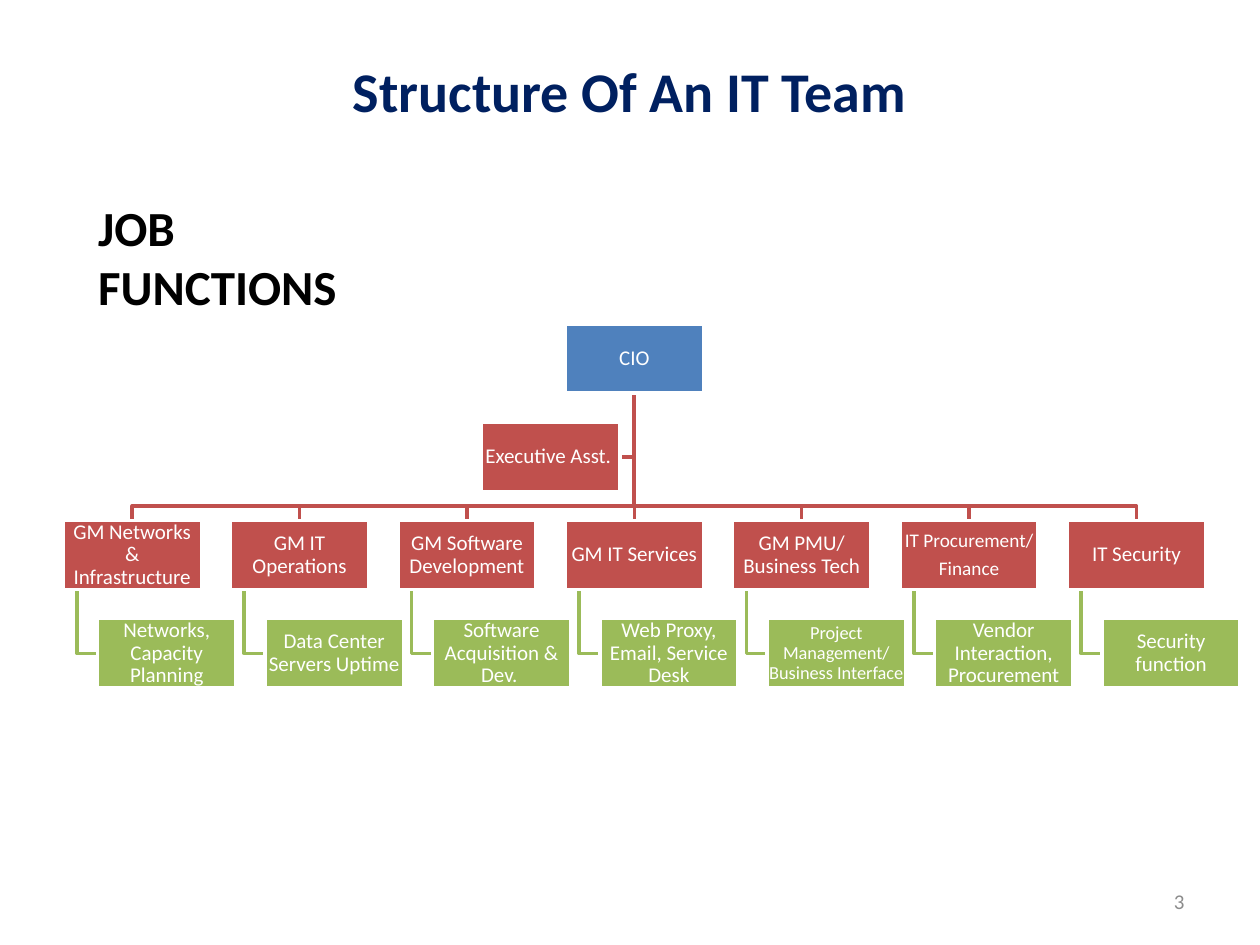
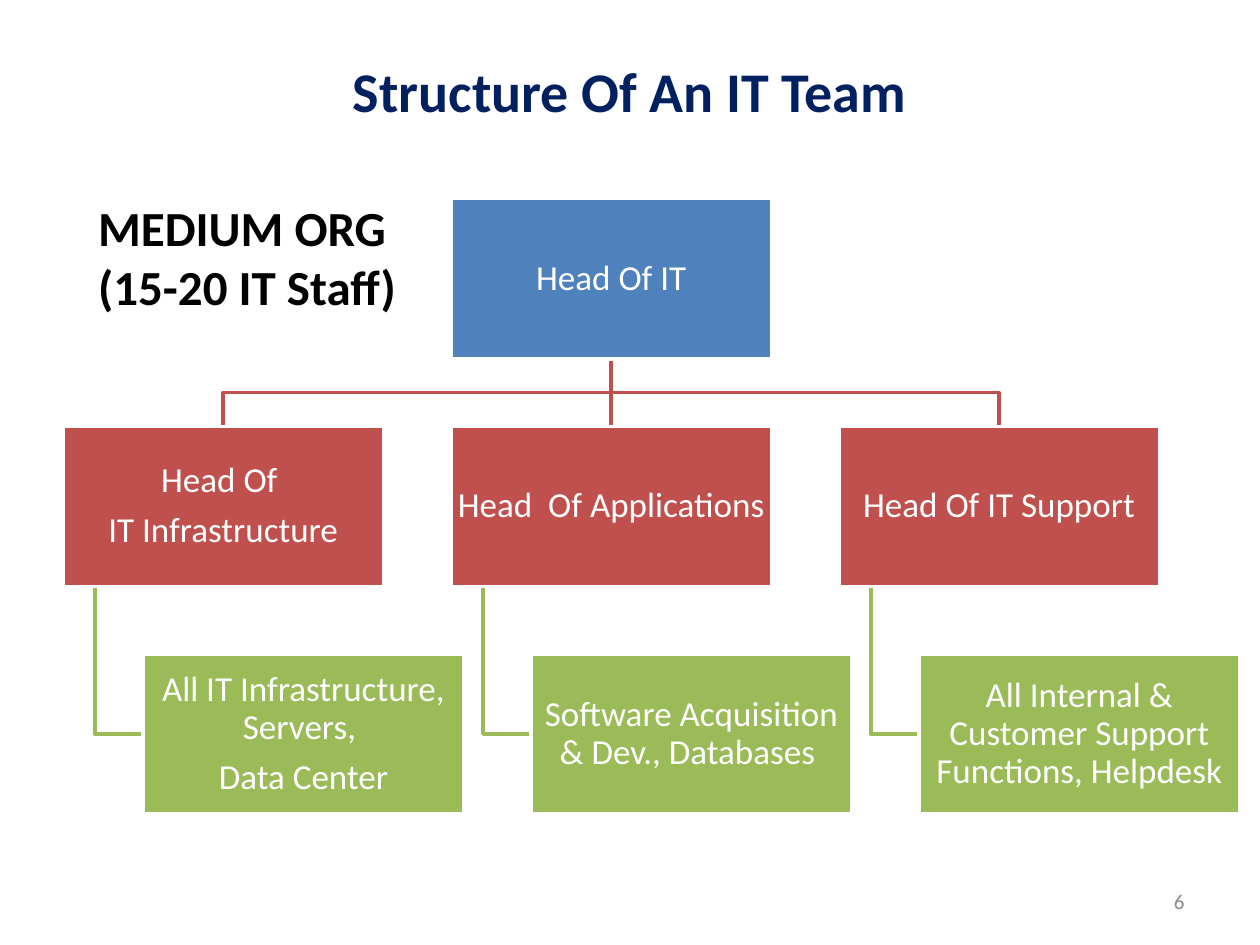
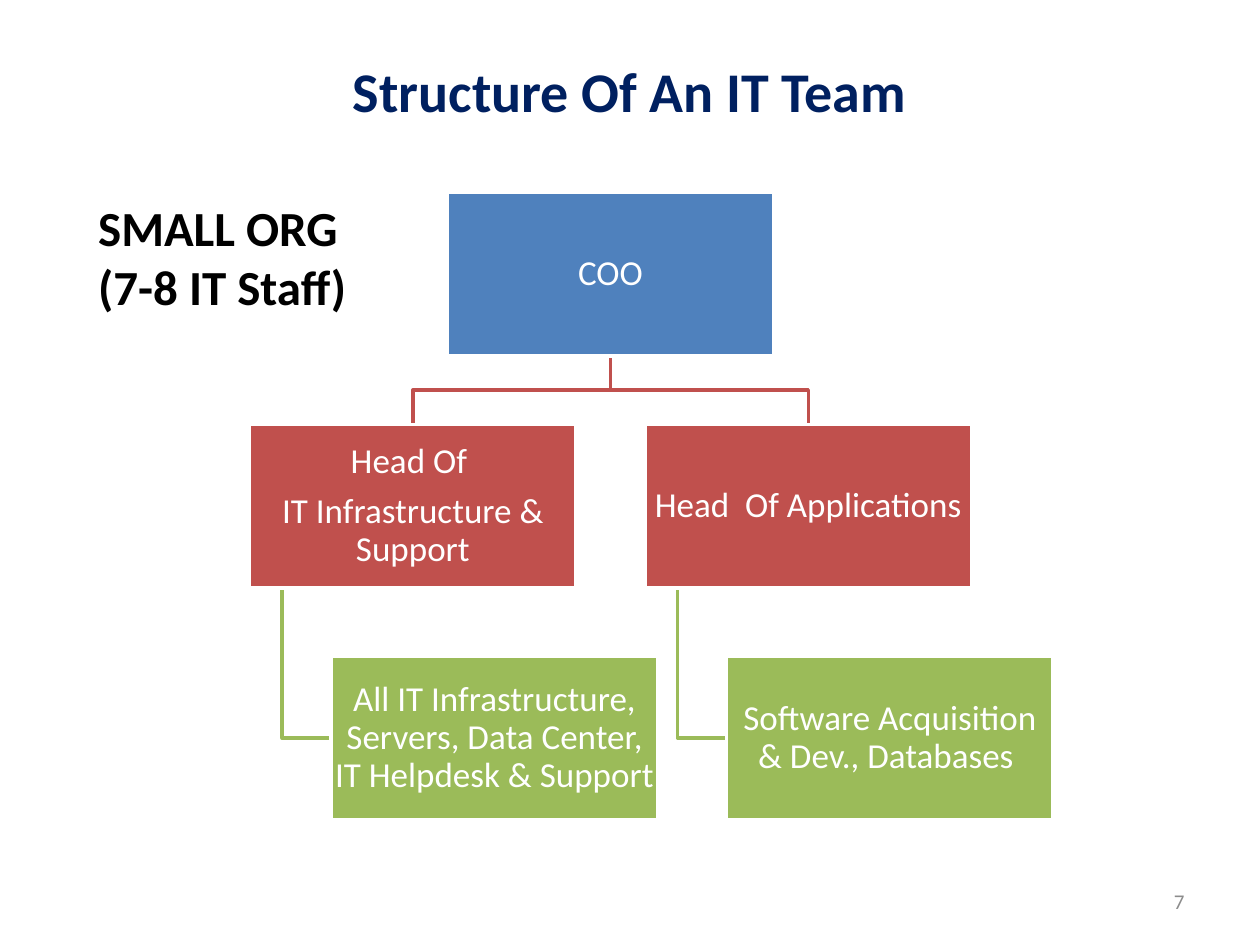
from pptx import Presentation
from pptx.dml.color import RGBColor
from pptx.enum.shapes import MSO_CONNECTOR, MSO_SHAPE
from pptx.enum.text import MSO_ANCHOR, PP_ALIGN
from pptx.oxml.ns import qn
from pptx.util import Pt
from lxml import etree

STRAIGHT = MSO_CONNECTOR.STRAIGHT
RECTANGLE = MSO_SHAPE.RECTANGLE
TOP, MIDDLE = MSO_ANCHOR.TOP, MSO_ANCHOR.MIDDLE
LEFT, CENTER, RIGHT = PP_ALIGN.LEFT, PP_ALIGN.CENTER, PP_ALIGN.RIGHT
BOTTOM_SITE, TOP_SITE = 2, 0

COLORS = {
    "title": "002060",
    "heading": "000000",
    "number": "8C8C8C",
    "root": "4F81BD",
    "head": "C0504D",
    "team": "9BBB59",
    "white": "FFFFFF",
}
FONT = "Calibri"
LINE_WIDTH = 2
GAP = 0.21
TEAM_INDENT = 0.25
STEM_INDENT = 0.1


def color(name):
    return RGBColor.from_string(COLORS[name])


def write_text(box, text, size, ink, bold=False, align=LEFT, anchor=TOP,
               wrap=True, inset=None, line_spacing=None, space_after=None):
    frame = box.text_frame
    frame.word_wrap = wrap
    frame.vertical_anchor = anchor
    if inset is not None:
        frame.margin_left = frame.margin_right = Pt(inset)
        frame.margin_top = frame.margin_bottom = Pt(inset)
    for index, line in enumerate(text.split("\n")):
        para = frame.add_paragraph() if index else frame.paragraphs[0]
        para.alignment = align
        if line_spacing:
            para.line_spacing = line_spacing
        if space_after:
            para.space_after = Pt(space_after)
        span = para.add_run()
        span.text = line
        span.font.name = FONT
        span.font.size = Pt(size)
        span.font.bold = bold
        span.font.color.rgb = color(ink)


class Deck:
    def __init__(self):
        self.presentation = Presentation()
        self.presentation.slide_width = Pt(720)
        self.presentation.slide_height = Pt(540)
        self.page = None

    def add_page(self, number, heading):
        layout = self.presentation.slide_layouts[6]
        self.page = self.presentation.slides.add_slide(layout)
        self.text(516, 500.5, 168, 28.8, str(number), size=12, ink="number",
                  align=RIGHT, anchor=MIDDLE)
        self.text(36, 16.5, 648, 70.5, "Structure Of An IT Team", size=32,
                  ink="title", bold=True, align=CENTER, anchor=MIDDLE)
        self.text(49, 109.5, 200, 41, heading, size=28, ink="heading",
                  bold=True, wrap=False)

    def text(self, left, top, width, height, text, **style):
        box = self.page.shapes.add_textbox(
            Pt(left), Pt(top), Pt(width), Pt(height))
        write_text(box, text, **style)

    def box(self, left, top, width, text, fill, size):
        box = self.page.shapes.add_shape(
            RECTANGLE, Pt(left), Pt(top), Pt(width), Pt(width / 2))
        box.shadow.inherit = False
        box.fill.solid()
        box.fill.fore_color.rgb = color(fill)
        self.outline(box, "white")
        write_text(box, text, size=size, ink="white", align=CENTER,
                   anchor=MIDDLE, inset=0.6, line_spacing=0.9,
                   space_after=0.35 * size)
        return box

    def outline(self, shape, ink):
        shape.line.color.rgb = color(ink)
        shape.line.width = Pt(LINE_WIDTH)

    def bent_line(self, points, ink):
        start, *rest = [(Pt(x), Pt(y)) for x, y in points]
        builder = self.page.shapes.build_freeform(*start)
        builder.add_line_segments(rest, close=False)
        line = builder.convert_to_shape()
        line.shadow.inherit = False
        line.fill.background()
        self.outline(line, ink)

    def straight_line(self, x, top, bottom, ink):
        line = self.page.shapes.add_connector(
            STRAIGHT, Pt(x), Pt(top), Pt(x), Pt(bottom))
        etree.SubElement(line._element.spPr, qn("a:effectLst"))
        self.outline(line, ink)
        return line

    def org_chart(self, left, top, width, size, root, branches, assistant=None):
        height, gap = width / 2, GAP * width
        step = height + gap
        head_top = top + step * (2 if assistant else 1)
        team_top = head_top + step
        lefts = [left + index * (width + gap) for index in range(len(branches))]
        root_left = (lefts[0] + lefts[-1]) / 2
        center, root_bottom = root_left + width / 2, top + height
        bus = head_top - gap / 2
        middle = len(branches) // 2 if len(branches) % 2 else None
        trunk = None

        for index, head_left in enumerate(lefts):
            stem, team_middle = head_left + STEM_INDENT * width, team_top + height / 2
            self.bent_line([(stem, head_top + height), (stem, team_middle),
                            (head_left + TEAM_INDENT * width, team_middle)], "team")
            if index == middle:
                trunk = self.straight_line(center, root_bottom, head_top, "head")
            else:
                head_center = head_left + width / 2
                self.bent_line([(center, root_bottom), (center, bus),
                                (head_center, bus), (head_center, head_top)], "head")
        if assistant:
            assistant_right = center - gap / 2
            assistant_middle = top + step + height / 2
            self.bent_line([(center, root_bottom), (center, assistant_middle),
                            (assistant_right, assistant_middle)], "head")
            self.box(assistant_right - width, top + step, width, assistant,
                     "head", size)

        root_box = self.box(root_left, top, width, root, "root", size)
        for index, (head_left, branch) in enumerate(zip(lefts, branches)):
            head, team, *sizes = branch
            head_size, team_size = sizes or (size, size)
            head_box = self.box(head_left, head_top, width, head, "head", head_size)
            self.box(head_left + TEAM_INDENT * width, team_top, width, team,
                     "team", team_size)
            if index == middle:
                trunk.begin_connect(root_box, BOTTOM_SITE)
                trunk.end_connect(head_box, TOP_SITE)


def main():
    deck = Deck()

    deck.add_page(3, "JOB FUNCTIONS")
    deck.org_chart(36, 185.2, 79.05, 12, "CIO", [
        ("GM Networks & Infrastructure", "Networks, Capacity Planning"),
        ("GM IT Operations", "Data Center Servers Uptime"),
        ("GM Software Development", "Software Acquisition & Dev. "),
        ("GM IT Services", "Web Proxy, Email, Service Desk"),
        ("GM PMU/ Business Tech", "Project Management/ Business Interface", 12, 10.5),
        ("IT Procurement/\nFinance", "Vendor Interaction, Procurement", 11, 12),
        ("IT Security", "Security function"),
    ], assistant="Executive Asst. ")

    deck.add_page(6, "MEDIUM ORG\n(15-20 IT Staff)")
    deck.org_chart(36, 113.5, 183.2, 20, "Head Of IT", [
        ("Head Of \nIT Infrastructure",
         "All IT Infrastructure, Servers, \nData Center"),
        ("Head  Of Applications", "Software Acquisition & Dev., Databases "),
        ("Head Of IT Support",
         "All Internal & Customer Support Functions, Helpdesk"),
    ])

    deck.add_page(7, "SMALL ORG\n(7-8 IT Staff)")
    deck.org_chart(142.6, 110, 186.7, 20, "COO", [
        ("Head Of \nIT Infrastructure & Support",
         "All IT Infrastructure, Servers, Data Center, IT Helpdesk & Support"),
        ("Head  Of Applications", "Software Acquisition & Dev., Databases "),
    ])

    deck.presentation.save("out.pptx")


if __name__ == "__main__":
    main()
